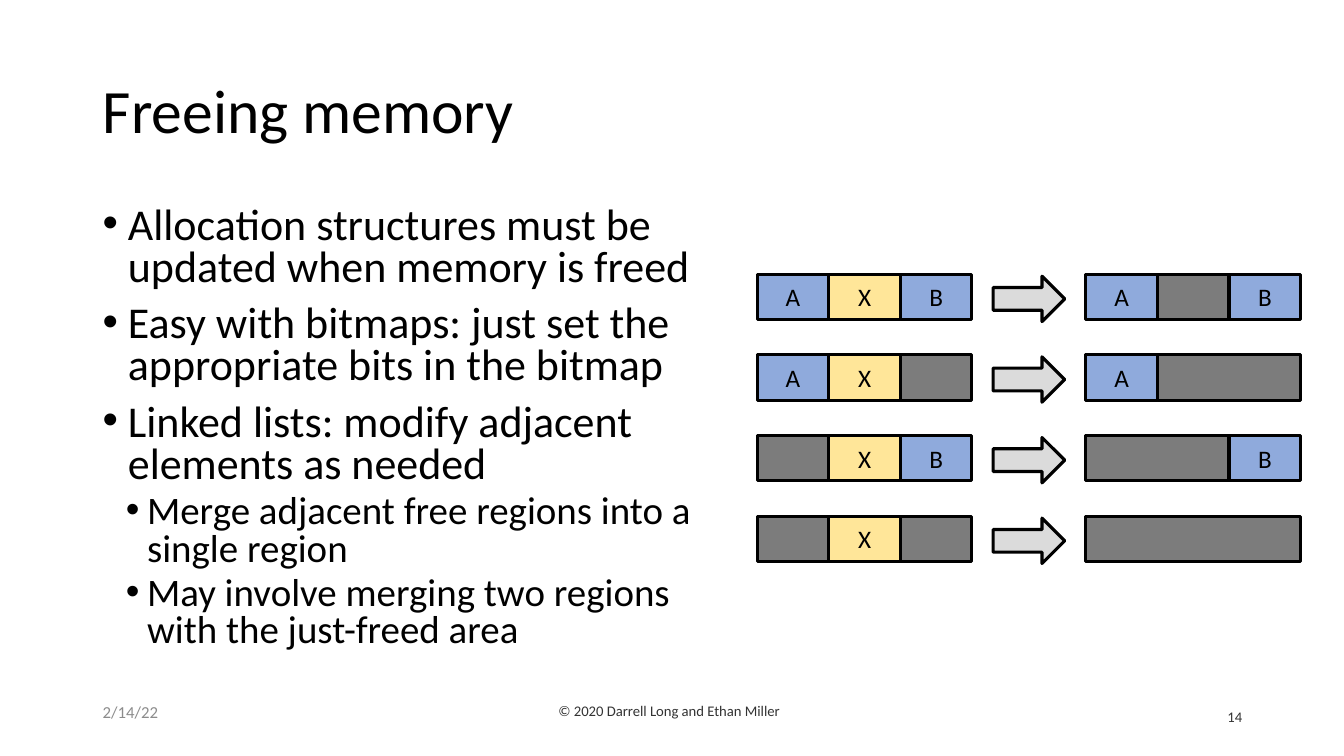
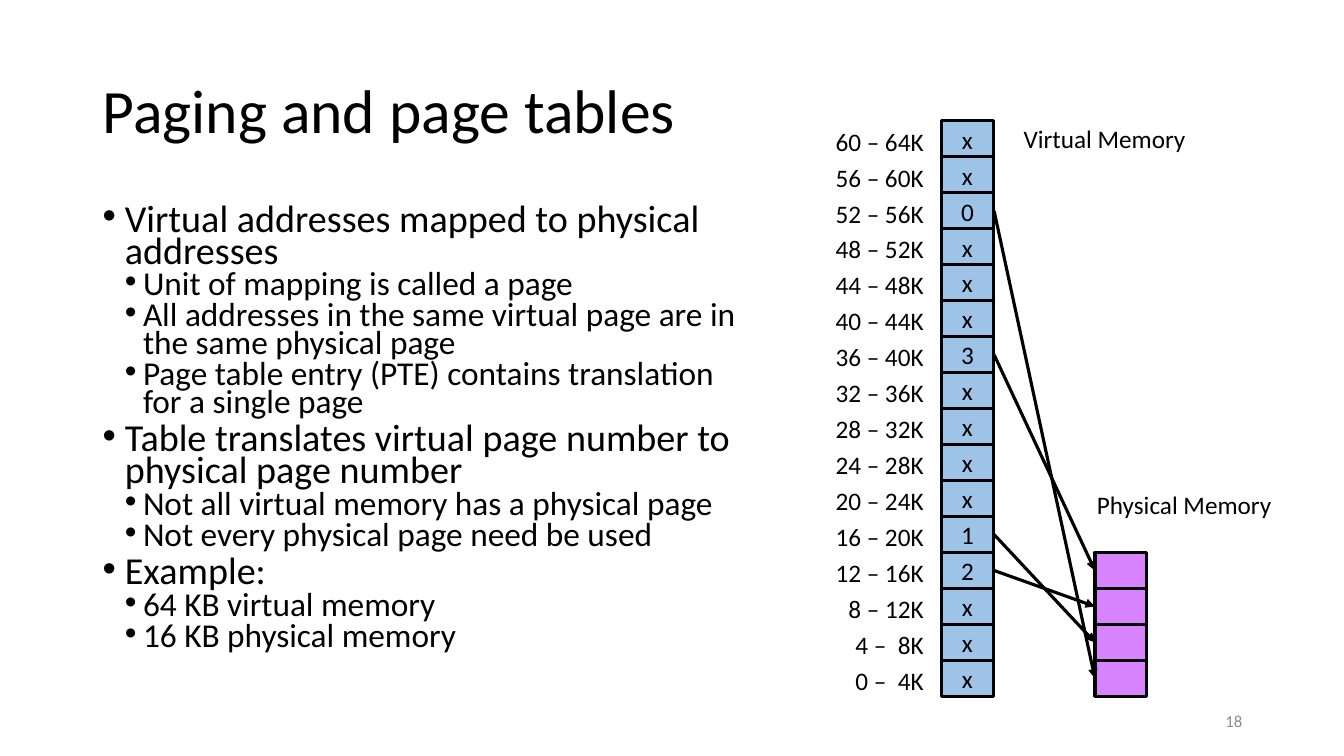
from itertools import groupby
from lxml import etree
from pptx import Presentation
from pptx import util as u
from pptx.dml.color import RGBColor
from pptx.enum import shapes, text
from pptx.oxml import ns

FONT = "Calibri"
BLACK, DARK, GREY = "000000", "333333", "8C8C8C"
FILLS = {"A": "8FAADC", "B": "8FAADC", "X": "FFE699", ".": "7C7C7C"}
ARROW, PAGE, FRAME = "DBDBDB", "9DC3E6", "D883FF"
LEFT, MID, RIGHT = text.PP_ALIGN.LEFT, text.PP_ALIGN.CENTER, text.PP_ALIGN.RIGHT
TOP, CENTER = text.MSO_ANCHOR.TOP, text.MSO_ANCHOR.MIDDLE
RECT = shapes.MSO_SHAPE.RECTANGLE


def rgb(code):
    return RGBColor.from_string(code)


def box(slide, at, words="", kind=None, fill=None, size=18, color=BLACK,
        align=MID, anchor=CENTER):
    """Add a text box, or an outlined shape when a kind is given."""
    at = [u.Inches(n) for n in at]
    if kind is None:
        item = slide.shapes.add_textbox(*at)
    else:
        item = slide.shapes.add_shape(kind, *at)
        item.shadow.inherit = False
        item.fill.solid()
        item.fill.fore_color.rgb = rgb(fill)
        item.line.color.rgb = rgb(BLACK)
        item.line.width = u.Pt(2.25)
    frame = item.text_frame
    frame.word_wrap = True
    frame.vertical_anchor = anchor
    if words:
        para = frame.paragraphs[0]
        para.text = words
        para.alignment = align
        for key, value in {"name": FONT, "size": u.Pt(size)}.items():
            setattr(para.font, key, value)
        para.font.color.rgb = rgb(color)
    return item


deck = Presentation()
deck.slide_width, deck.slide_height = u.Inches(13.33), u.Inches(7.5)

# Titles and bullets: each level has size, indent, hang and space before
talks = [
    {"title": "Freeing memory", "width": 6.22, "lines": 0.8,
     "levels": [(31.4, 0.25, 0.25, 10), (27.8, 0.44, 0.21, 5)],
     "points": [
         (0, "Allocation structures must be updated when memory is freed"),
         (0, "Easy with bitmaps: just set the appropriate bits in the bitmap"),
         (0, "Linked lists: modify adjacent elements as needed"),
         (1, "Merge adjacent free regions into a single region"),
         (1, "May involve merging two regions with the just-freed area")]},
    {"title": "Paging and page tables", "width": 6.69, "lines": 0.7,
     "levels": [(27.2, 0.22, 0.22, 4.9), (23.8, 0.4, 0.18, 2.1)],
     "points": [
         (0, "Virtual addresses mapped to physical addresses"),
         (1, "Unit of mapping is called a page"),
         (1, "All addresses in the same virtual page are in the same physical page"),
         (1, "Page table entry (PTE) contains translation for a single page"),
         (0, "Table translates virtual page number to physical page number"),
         (1, "Not all virtual memory has a physical page"),
         (1, "Not every physical page need be used"),
         (0, "Example:"),
         (1, "64 KB virtual memory"),
         (1, "16 KB physical memory")]},
]

for talk in talks:
    slide = deck.slides.add_slide(deck.slide_layouts[5])
    title = slide.shapes.title
    place = {"left": 0.92, "top": 0.4, "width": 11.5, "height": 1.45}
    for key, value in place.items():
        setattr(title, key, u.Inches(value))
    title.text_frame.text = talk["title"]
    title.text_frame.vertical_anchor = CENTER
    para = title.text_frame.paragraphs[0]
    para.alignment, para.line_spacing = LEFT, 0.9
    for key, value in {"name": FONT, "size": u.Pt(44)}.items():
        setattr(para.font, key, value)
    para.font.color.rgb = rgb(BLACK)

    body = box(slide, (0.92, 2, talk["width"], 4.76), anchor=TOP).text_frame
    for i, (level, words) in enumerate(talk["points"]):
        size, indent, hang, before = talk["levels"][level]
        para = body.add_paragraph() if i else body.paragraphs[0]
        para.text = words
        form = {"level": level, "alignment": LEFT, "space_before": u.Pt(before),
                "line_spacing": talk["lines"]}
        for key, value in form.items():
            setattr(para, key, value)
        for key, value in {"name": FONT, "size": u.Pt(size)}.items():
            setattr(para.font, key, value)
        para.font.color.rgb = rgb(BLACK)
        props = para._p.get_or_add_pPr()
        props.set("marL", str(u.Inches(indent)))
        props.set("indent", str(-u.Inches(hang)))
        font = etree.Element(ns.qn("a:buFont"), typeface="Arial")
        mark = etree.Element(ns.qn("a:buChar"), char="•")
        props.insert_element_before(font, "a:defRPr")
        props.insert_element_before(mark, "a:defRPr")

free, paging = deck.slides

# Freeing memory: regions before and after; neighbouring free cells merge
cell, high = 0.71, 0.45
cases = [("AXB", "A.B"), ("AX.", "A.."), (".XB", "..B"), (".X.", "...")]
for row, case in enumerate(cases):
    top = 2.72 + 0.8 * row
    for left, cells in zip((7.51, 10.77), case):
        for name, run in groupby(cells):
            wide = cell * len(list(run))
            box(free, (left, top, wide, high), name.strip("."), RECT, FILLS[name])
            left += wide
    box(free, (9.85, top + 0.02, cell, high),
        kind=shapes.MSO_SHAPE.RIGHT_ARROW, fill=ARROW)

# Footers
box(free, (0.92, 6.91, 1.36, 0.4), "2/14/22", size=12, color=GREY,
    align=LEFT, anchor=TOP)
box(free, (5.44, 6.91, 5.75, 0.4), "© 2020 Darrell Long and Ethan Miller",
    size=10.5, color=DARK, align=LEFT, anchor=TOP)
box(free, (11.56, 6.91, 0.86, 0.4), "14", size=10.5, color=DARK, align=RIGHT)
box(paging, (9.42, 6.95, 3, 0.4), "18", size=12, color=GREY, align=RIGHT)

# Paging: physical frames, numbered from the bottom
wide, high = 0.51, 0.36
first, last = 1.2, 6.55
step = (last - first) / 15
for frame in range(4):
    box(paging, (10.86, last - step * frame, wide, high), kind=RECT, fill=FRAME)

# Virtual pages from the top, with address ranges and arrows to frames
PAD = " "  # figure space, as wide as a digit
for i, entry in enumerate("xx0xxx3xxxx12xxx"):
    top = first + step * i
    low = 60 - 4 * i
    box(paging, (9.34, top, wide, high), entry, RECT, PAGE)
    box(paging, (8.03, top, 1.23, 0.42), f"{low} – {str(low + 4).rjust(2, PAD)}K",
        align=RIGHT, anchor=TOP)
    if entry != "x":
        goal = last - step * int(entry)
        ends = (9.86, top + high / 2, 10.86, goal + high / 2)
        link = paging.shapes.add_connector(
            shapes.MSO_CONNECTOR.STRAIGHT, *[u.Inches(n) for n in ends])
        link.line.color.rgb = rgb(BLACK)
        link.line.width = u.Pt(2.25)
        etree.SubElement(link.line._get_or_add_ln(), ns.qn("a:tailEnd"),
                         type="triangle")
        etree.SubElement(link._element.spPr, ns.qn("a:effectLst"))

# Captions
box(paging, (10.05, 1.17, 1.81, 0.4), "Virtual Memory", anchor=TOP)
box(paging, (10.73, 4.81, 2.03, 0.4), "Physical Memory", anchor=TOP)

deck.save("out.pptx")
